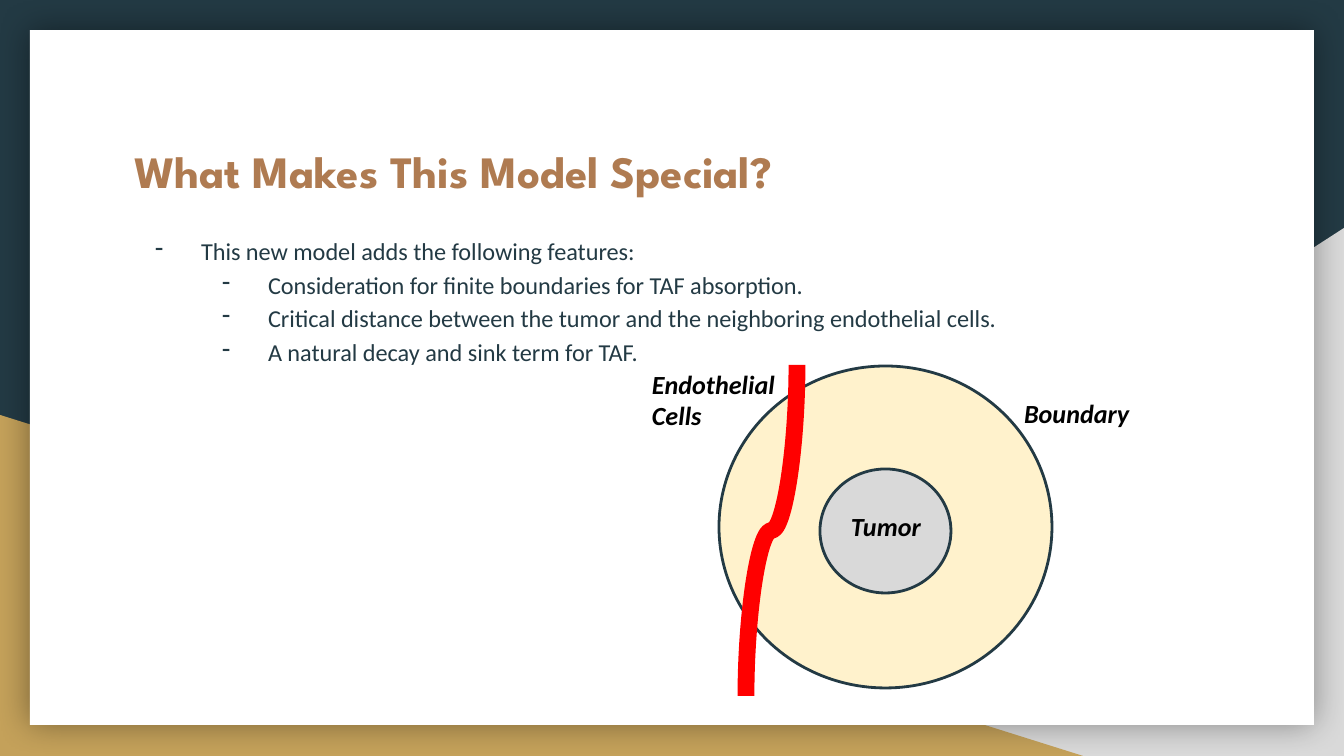
from lxml import etree
from pptx import Presentation
from pptx import util as u
from pptx.dml.color import RGBColor
from pptx.enum import shapes, text
from pptx.oxml.ns import qn

NAVY = RGBColor(0x23, 0x3A, 0x44)
GOLD = RGBColor(0xC4, 0xA1, 0x5A)
GREY = RGBColor(0xD9, 0xD9, 0xD9)
WHITE = RGBColor(0xFF, 0xFF, 0xFF)
BROWN = RGBColor(0xAF, 0x7B, 0x51)
CREAM = RGBColor(0xFF, 0xF2, 0xCC)
RED = RGBColor(0xFF, 0x00, 0x00)
BLACK = RGBColor(0x00, 0x00, 0x00)

WIDTH, HEIGHT = 1344, 756
SCALE = 9144000 / WIDTH  # EMU in one px
INSET = 13

TITLE = "What Makes This Model Special?"
FEATURES = [  # level, wording
    (0, "This new model adds the following features:"),
    (1, "Consideration for finite boundaries for TAF absorption."),
    (1, "Critical distance between the tumor and the neighboring endothelial cells."),
    (1, "A natural decay and sink term for TAF."),
]
TISSUES = [  # left, top, width, height, fill
    (719, 366, 333, 322, CREAM),
    (820, 469, 131, 124, GREY),
]
LABELS = [  # wording, left, top, width, height
    ("Tumor", 838, 497, 142, 59),
    ("Boundary", 1011, 384, 157, 59),
    ("Endothelial Cells", 639, 355, 153, 90),
]
VESSEL_TOP, VESSEL_BOTTOM = (797, 365), (746, 696)


def emu(*lengths):
    return [round(length * SCALE) for length in lengths]


def add_filled(page, kind, area, fill, outline=None):
    shape = page.shapes.add_shape(kind, *emu(*area))
    shape.shadow.inherit = False
    shape.fill.solid()
    shape.fill.fore_color.rgb = fill
    if outline is None:
        shape.line.fill.background()
    else:
        shape.line.color.rgb = outline
        shape.line.width = u.Pt(1.5)
    return shape


def add_text(page, area, lines, font, size, color, bold=False, italic=False):
    box = page.shapes.add_textbox(*emu(*area))
    frame = box.text_frame
    frame.word_wrap = True
    inset, = emu(INSET)
    frame.margin_left = frame.margin_right = inset
    frame.margin_top = frame.margin_bottom = inset
    frame.text = "\n".join(lines)
    for para in frame.paragraphs:
        para.font.name = font
        para.font.size = u.Pt(size)
        para.font.color.rgb = color
        para.font.bold = bold
        para.font.italic = italic
    return frame


def add_dash(para, level):
    para.level = level
    props = para._p.get_or_add_pPr()
    left, hanging = emu(67 * (level + 1), -46)
    props.set("marL", str(left))
    props.set("indent", str(hanging))
    para.line_spacing = 1.15
    bullet = etree.Element(qn("a:buChar"), char="-")
    props.find(qn("a:defRPr")).addprevious(bullet)


def add_glow(shape):
    """Give the shape a soft dark shadow on all sides."""
    effects = shape._element.spPr.find(qn("a:effectLst"))
    shadow = etree.SubElement(effects, qn("a:outerShdw"), blurRad=str(u.Pt(18)),
                              dist="0", dir="0", algn="ctr", rotWithShape="0")
    color = etree.SubElement(shadow, qn("a:srgbClr"), val=str(BLACK))
    etree.SubElement(color, qn("a:alpha"), val="40000")


def add_vessel(page, top, bottom):
    """Draw an S-curve that leaves both ends vertically: a level one turned by 90 degrees."""
    middle_x, middle_y = (top[0] + bottom[0]) / 2, (top[1] + bottom[1]) / 2
    half_length, half_drift = (bottom[1] - top[1]) / 2, (top[0] - bottom[0]) / 2
    vessel = page.shapes.add_connector(
        shapes.MSO_CONNECTOR.CURVE,
        *emu(middle_x - half_length, middle_y - half_drift,
             middle_x + half_length, middle_y + half_drift))
    vessel.line.color.rgb = RED
    vessel.line.width = u.Pt(9)
    props = vessel._element.spPr
    props.find(qn("a:xfrm")).set("rot", str(90 * 60000))
    etree.SubElement(props, qn("a:effectLst"))


def main():
    deck = Presentation()
    deck.slide_width, deck.slide_height = emu(WIDTH, HEIGHT)
    page = deck.slides.add_slide(deck.slide_layouts[6])
    page.background.fill.solid()
    page.background.fill.fore_color.rgb = NAVY

    kinds = shapes.MSO_SHAPE
    right_corner = add_filled(page, kinds.RIGHT_TRIANGLE, (527, 228, 817, 528), GREY)
    right_corner._element.spPr.find(qn("a:xfrm")).set("flipH", "1")
    add_filled(page, kinds.RIGHT_TRIANGLE, (0, 415, 1083, 341), GOLD)
    add_glow(add_filled(page, kinds.RECTANGLE, (30, 30, 1284, 695), WHITE))

    body = add_text(page, (121, 219, 1103, 388), [line for _, line in FEATURES],
                    "Calibri", 13, NAVY)
    for para, (level, _) in zip(body.paragraphs, FEATURES):
        add_dash(para, level)
    title = add_text(page, (121, 124, 1103, 94), [TITLE],
                     "League Spartan", 24, BROWN, bold=True)
    title.vertical_anchor = text.MSO_ANCHOR.MIDDLE

    for *area, fill in TISSUES:
        add_filled(page, kinds.OVAL, area, fill, NAVY)
    add_vessel(page, VESSEL_TOP, VESSEL_BOTTOM)
    for wording, *area in LABELS:
        label = add_text(page, area, [wording], "Calibri", 14, BLACK, bold=True, italic=True)
        label.auto_size = text.MSO_AUTO_SIZE.SHAPE_TO_FIT_TEXT

    deck.save("out.pptx")


if __name__ == "__main__":
    main()
